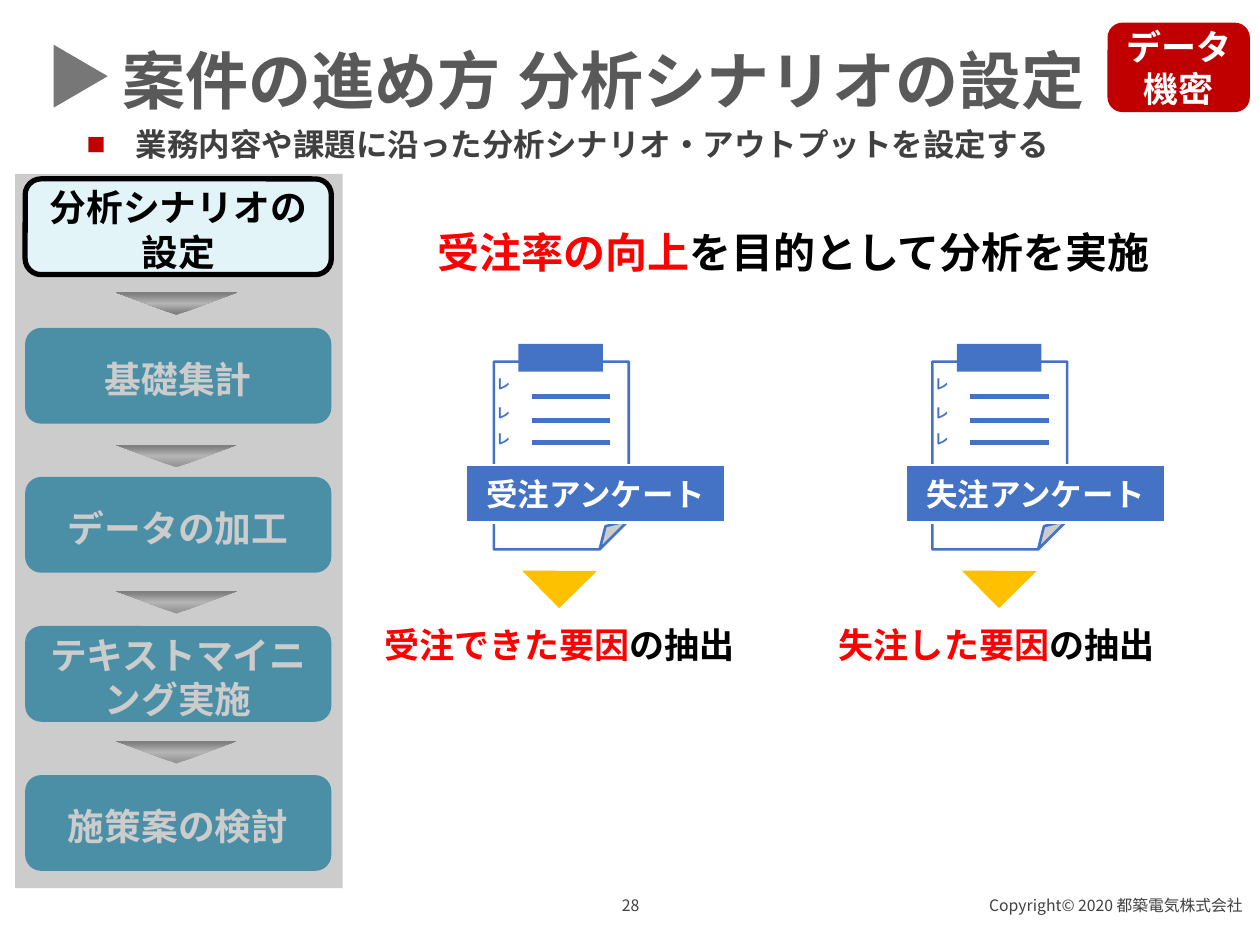
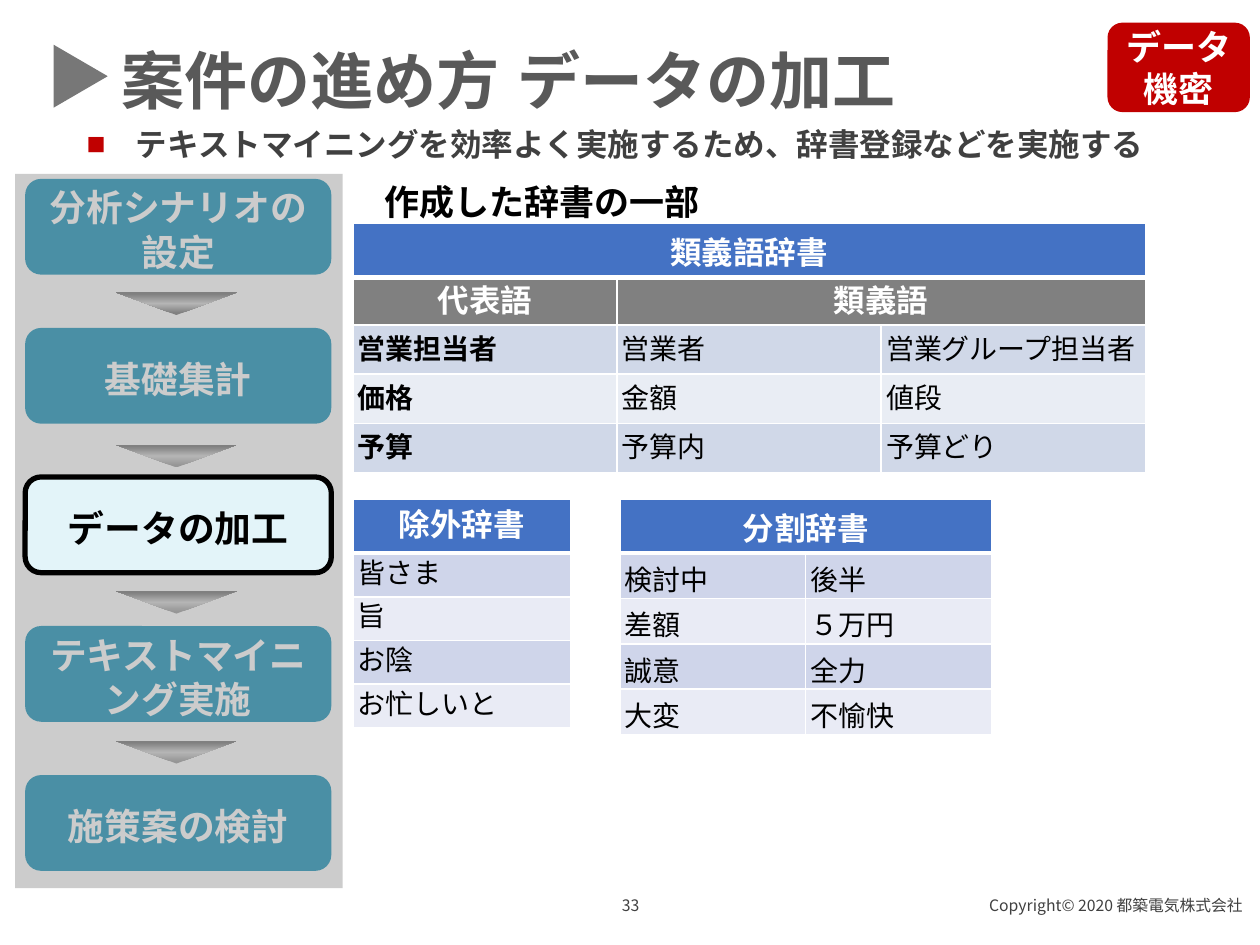
from dataclasses import dataclass, replace
from typing import NamedTuple

from lxml.etree import SubElement
from pptx import Presentation
from pptx.dml.color import RGBColor
from pptx.enum.shapes import MSO_CONNECTOR, MSO_SHAPE
from pptx.enum.text import MSO_ANCHOR, MSO_AUTO_SIZE, PP_ALIGN
from pptx.oxml.ns import qn
from pptx.util import Inches, Pt

# Grid: 100 columns by 75 rows
W, H = Inches(10), Inches(7.5)
COLS, ROWS = 100, 75

# Colours
WHITE = RGBColor(0xFF, 0xFF, 0xFF)
BLACK = RGBColor(0, 0, 0)
RED = RGBColor(0xFF, 0, 0)
CRIMSON = RGBColor(0xC0, 0, 0)
BLUE = RGBColor(0x44, 0x72, 0xC4)
TEAL = RGBColor(0x26, 0x9A, 0xBE)
ICE = RGBColor(0xE3, 0xF4, 0xF9)
AMBER = RGBColor(0xFF, 0xC0, 0)
GRAY = RGBColor(0x80, 0x80, 0x80)
MID_GRAY = RGBColor(0xA6, 0xA6, 0xA6)
LIGHT_GRAY = RGBColor(0xD9, 0xD9, 0xD9)
MARK_GRAY = RGBColor(0x77, 0x77, 0x77)
TITLE_GRAY = RGBColor(0x59, 0x59, 0x59)
TEXT_GRAY = RGBColor(0x40, 0x40, 0x40)
BAND_A = (RGBColor(0xD0, 0xD8, 0xE8), RGBColor(0xE9, 0xED, 0xF4))
BAND_B = (RGBColor(0xCF, 0xD5, 0xEA), RGBColor(0xE9, 0xEB, 0xF5))

ARIAL, NOTO = "Arial", "Noto Sans CJK JP"


class Box(NamedTuple):
    """Left and width in columns, top and height in rows."""
    x: float
    y: float
    w: float
    h: float


@dataclass(frozen=True)
class Style:
    size: float
    color: RGBColor
    font: str = ARIAL
    bold: bool = True


class Run(NamedTuple):
    text: str
    style: Style


@dataclass(frozen=True)
class Dictionary:
    box: Box
    heights: tuple[float, ...]
    title: str
    font: str
    rows: list[list[str]]
    bands: tuple[RGBColor, RGBColor]
    anchor: MSO_ANCHOR = MSO_ANCHOR.MIDDLE
    heading: tuple[str, ...] = ()


TITLE = Style(36, TITLE_GRAY)
SUBTITLE = Style(18, TEXT_GRAY)
BADGE = Style(20, WHITE)
STAGE = Style(21, WHITE)
FOOTER = Style(9, TEXT_GRAY, NOTO, False)
CHECK = Style(8, BLUE, NOTO)
LABEL = Style(18, WHITE, NOTO)
AIM = Style(24, BLACK, NOTO)
FACTOR = Style(20, BLACK, NOTO)

STAGES = ("分析シナリオの\n設定", "基礎集計", "データの加工", "テキストマイニング実施", "施策案の検討")
STAGE_TOP, STAGE_STEP = 14.2, 11.83
STEP_MARK_TOPS = (23.2, 35.3, 46.9, 58.8)


def col(n: float) -> int:
    return round(W * n / COLS)


def row(n: float) -> int:
    return round(H * n / ROWS)


def place(box: Box) -> tuple[int, int, int, int]:
    return col(box.x), row(box.y), col(box.w), row(box.h)


def write(tf, paragraphs: list[list[Run]], align=PP_ALIGN.LEFT) -> None:
    for i, runs in enumerate(paragraphs):
        p = tf.add_paragraph() if i else tf.paragraphs[0]
        p.alignment = align
        for text, style in runs:
            r = p.add_run()
            r.text = text
            r.font.size = Pt(style.size)
            r.font.bold = style.bold
            r.font.name = style.font
            r.font.color.rgb = style.color
            SubElement(r.font._element, qn("a:ea"), typeface=style.font)


def add_text(s, box: Box, runs: list[Run], align=PP_ALIGN.LEFT, wrap=True, grow=True):
    tf = s.shapes.add_textbox(*place(box)).text_frame
    tf.word_wrap = wrap
    tf.auto_size = MSO_AUTO_SIZE.SHAPE_TO_FIT_TEXT if grow else MSO_AUTO_SIZE.NONE
    write(tf, [runs], align)
    return tf


def add_block(s, kind: MSO_SHAPE, box: Box, fill: RGBColor, line: RGBColor | None = None,
              width: float = 1.5, text: str = "", style: Style = LABEL, rotation: float = 0):
    sp = s.shapes.add_shape(kind, *place(box))
    sp.shadow.inherit = False
    sp.rotation = rotation
    sp.fill.solid()
    sp.fill.fore_color.rgb = fill
    if line is None:
        sp.line.fill.background()
    else:
        sp.line.color.rgb = line
        sp.line.width = Pt(width)
    if text:
        tf = sp.text_frame
        tf.word_wrap = True
        tf.vertical_anchor = MSO_ANCHOR.MIDDLE
        write(tf, [[Run(part, style)] for part in text.split("\n")], PP_ALIGN.CENTER)
    return sp


# Shared title, subtitle, badge and footer
def add_frame(s, title: str, title_width: float, subtitle: str, page: int) -> None:
    add_block(s, MSO_SHAPE.ISOSCELES_TRIANGLE, Box(3.9, 3.9, 5, 4.3), MARK_GRAY, rotation=90)
    add_text(s, Box(8.7, 2.8, title_width, 7.1), [Run(title, TITLE)], wrap=False)
    tf = add_text(s, Box(5.9, 9.4, 88.6, 4), [Run(subtitle, SUBTITLE)])
    pPr = tf.paragraphs[0]._p.get_or_add_pPr()
    pPr.set("marL", str(col(3.9)))
    pPr.set("indent", str(-col(3.9)))
    SubElement(SubElement(pPr, qn("a:buClr")), qn("a:srgbClr"), val=str(CRIMSON))
    SubElement(pPr, qn("a:buFont"), typeface=ARIAL)
    SubElement(pPr, qn("a:buChar"), char="■")
    add_block(s, MSO_SHAPE.ROUNDED_RECTANGLE, Box(87.9, 1.8, 11.3, 7.1), CRIMSON,
              text="データ機密", style=BADGE)
    add_text(s, Box(38.8, 70.6, 22.5, 4), [Run(str(page), FOOTER)], PP_ALIGN.CENTER, grow=False)
    add_text(s, Box(63.4, 70.6, 36.2, 4), [Run("Copyright© 2020 都築電気株式会社", FOOTER)],
             PP_ALIGN.RIGHT, grow=False)


# Process column with the current stage lifted above the grey veil
def add_stage(s, index: int, current: bool) -> None:
    sp = add_block(s, MSO_SHAPE.ROUNDED_RECTANGLE,
                   Box(2, STAGE_TOP + STAGE_STEP * index, 24.3, 7.6),
                   ICE if current else TEAL, BLACK if current else None, 3, STAGES[index],
                   replace(STAGE, color=BLACK) if current else STAGE)
    sp.text_frame.margin_top = Inches(0.09)


def add_step_mark(s, top: float, first: RGBColor) -> None:
    sp = add_block(s, MSO_SHAPE.ISOSCELES_TRIANGLE, Box(9.2, top, 9.6, 1.8), GRAY, rotation=180)
    sp.fill.gradient()
    grad = sp.fill._xPr.find(qn("a:gradFill"))
    for child in list(grad):
        grad.remove(child)
    stops = SubElement(grad, qn("a:gsLst"))
    for percent, color in ((10, first), (50, LIGHT_GRAY), (93, GRAY)):
        stop = SubElement(stops, qn("a:gs"), pos=str(percent * 1000))
        SubElement(stop, qn("a:srgbClr"), val=str(color))
    SubElement(grad, qn("a:lin"), ang=str(90 * 60000), scaled="0")


def add_process(s, current: int) -> None:
    for i in range(len(STAGES)):
        if i != current:
            add_stage(s, i, False)
    for i, top in enumerate(STEP_MARK_TOPS):
        add_step_mark(s, top, MID_GRAY if i else GRAY)
    veil = add_block(s, MSO_SHAPE.RECTANGLE, Box(1.2, 13.8, 26, 56.7), GRAY)
    tint = veil._element.spPr.find(qn("a:solidFill")).find(qn("a:srgbClr"))
    SubElement(tint, qn("a:alpha"), val="40000")
    add_stage(s, current, True)


# Clipboard with its label, pointer and finding
def add_survey(s, x: float, label: str, label_x: float, cause: str, cause_box: Box) -> None:
    sheet = add_block(s, MSO_SHAPE.FOLDED_CORNER, Box(x, 28.7, 10.7, 14.9), WHITE, BLUE)
    guides = sheet._element.spPr.find(qn("a:prstGeom")).get_or_add_avLst()
    SubElement(guides, qn("a:gd"), name="adj", fmla="val 21500")
    for check_y, line_y in ((29.3, 31.5), (31.6, 33.4), (33.7, 35.1)):
        add_text(s, Box(x - 0.8, check_y, 5, 2.4), [Run("レ", CHECK)])
        line = s.shapes.add_connector(MSO_CONNECTOR.STRAIGHT, col(x + 3), row(line_y),
                                      col(x + 9.25), row(line_y))
        line.line.color.rgb = BLUE
        line.line.width = Pt(2.75)
        SubElement(line._element.spPr, qn("a:effectLst"))
    add_block(s, MSO_SHAPE.RECTANGLE, Box(x + 1.95, 27.3, 6.7, 2.2), BLUE)
    add_block(s, MSO_SHAPE.RECTANGLE, Box(label_x, 36.9, 20.6, 4.6), BLUE, WHITE, text=label)
    add_block(s, MSO_SHAPE.RIGHT_TRIANGLE, Box(label_x + 5.3, 43.2, 4.2, 4.2), AMBER,
              rotation=315.4)
    add_text(s, cause_box, [Run(cause, replace(FACTOR, color=RED)), Run("の抽出", FACTOR)],
             wrap=False)


# Dictionary tables
def fill_cell(cell, text: str, style: Style, fill: RGBColor, align=PP_ALIGN.LEFT,
              anchor=MSO_ANCHOR.MIDDLE) -> None:
    cell.margin_left = cell.margin_right = cell.margin_top = cell.margin_bottom = Inches(0.04)
    cell.vertical_anchor = anchor
    cell.fill.solid()
    cell.fill.fore_color.rgb = fill
    if text:
        write(cell.text_frame, [[Run(text, style)]], align)


def add_borders(cell, top: float, bottom: float) -> None:
    tcPr = cell._tc.get_or_add_tcPr()
    for side, width in (("L", 1), ("R", 1), ("T", top), ("B", bottom)):
        ln = SubElement(tcPr, qn(f"a:ln{side}"), w=str(int(Pt(width))))
        SubElement(SubElement(ln, qn("a:solidFill")), qn("a:srgbClr"), val=str(WHITE))


def add_dictionary(s, d: Dictionary) -> None:
    n = len(d.rows[0])
    table = s.shapes.add_table(len(d.heights), n, *place(d.box)).table
    for column in table.columns:
        column.width = col(d.box.w / n)
    for i, height in enumerate(d.heights):
        table.rows[i].height = row(height)
        for j in range(n):
            add_borders(table.cell(i, j), 3 if i == 1 else 1, 1 if i else 3)
    head = Style(18, WHITE, d.font)
    for j in range(n):
        fill_cell(table.cell(0, j), "" if j else d.title, head, BLUE, PP_ALIGN.CENTER)
    if n > 1:
        table.cell(0, 0).merge(table.cell(0, n - 1))
    for j, text in enumerate(d.heading):
        fill_cell(table.cell(1, j), text, Style(18, WHITE), GRAY, PP_ALIGN.CENTER)
    if d.heading:
        table.cell(1, 1).merge(table.cell(1, n - 1))
    first = 2 if d.heading else 1
    body_font = ARIAL if d.heading else d.font
    for i, texts in enumerate(d.rows):
        for j, text in enumerate(texts):
            style = Style(16, BLACK, body_font, bool(d.heading) and j == 0)
            fill_cell(table.cell(first + i, j), text, style, d.bands[i % 2], anchor=d.anchor)


DICTIONARIES = (
    Dictionary(Box(28, 17.7, 62.9, 19.9), (4.3, 3.3, 3.9, 3.9, 3.9), "類義語辞書", NOTO,
               [["営業担当者", "営業者", "営業グループ担当者"],
                ["価格", "金額", "値段"],
                ["予算", "予算内", "予算どり"]],
               BAND_A, heading=("代表語", "類義語", "")),
    Dictionary(Box(28, 39.6, 17.3, 18.1), (4.3,) + (3.3,) * 4, "除外辞書", ARIAL,
               [["皆さま"], ["旨"], ["お陰"], ["お忙しいと"]], BAND_B, MSO_ANCHOR.TOP),
    Dictionary(Box(49.2, 39.6, 29.5, 18.7), (4.3,) + (3.6,) * 4, "分割辞書", NOTO,
               [["検討中", "後半"], ["差額", "５万円"], ["誠意", "全力"], ["大変", "不愉快"]],
               BAND_B),
)


def build_scenario(s) -> None:
    add_text(s, Box(33.7, 17.5, 58.8, 5),
             [Run("受注率の向上", replace(AIM, color=RED)), Run("を目的として分析を実施", AIM)])
    add_survey(s, 39.2, "受注アンケート", 37, "受注できた要因", Box(29.5, 49, 30.1, 4.4))
    add_survey(s, 74, "失注アンケート", 71.9, "失注した要因", Box(65.6, 49, 27.3, 4.4))
    add_process(s, 0)
    add_frame(s, "案件の進め方 分析シナリオの設定", 79.2,
              "業務内容や課題に沿った分析シナリオ・アウトプットを設定する", 28)


def build_processing(s) -> None:
    add_process(s, 2)
    add_text(s, Box(29.5, 13.8, 27.3, 4.4), [Run("作成した辞書の一部", FACTOR)], wrap=False)
    for dictionary in DICTIONARIES:
        add_dictionary(s, dictionary)
    add_frame(s, "案件の進め方 データの加工", 64,
              "テキストマイニングを効率よく実施するため、辞書登録などを実施する", 33)


def main() -> None:
    prs = Presentation()
    prs.slide_width, prs.slide_height = W, H
    for build in (build_scenario, build_processing):
        build(prs.slides.add_slide(prs.slide_layouts[6]))
    prs.save("out.pptx")


if __name__ == "__main__":
    main()
